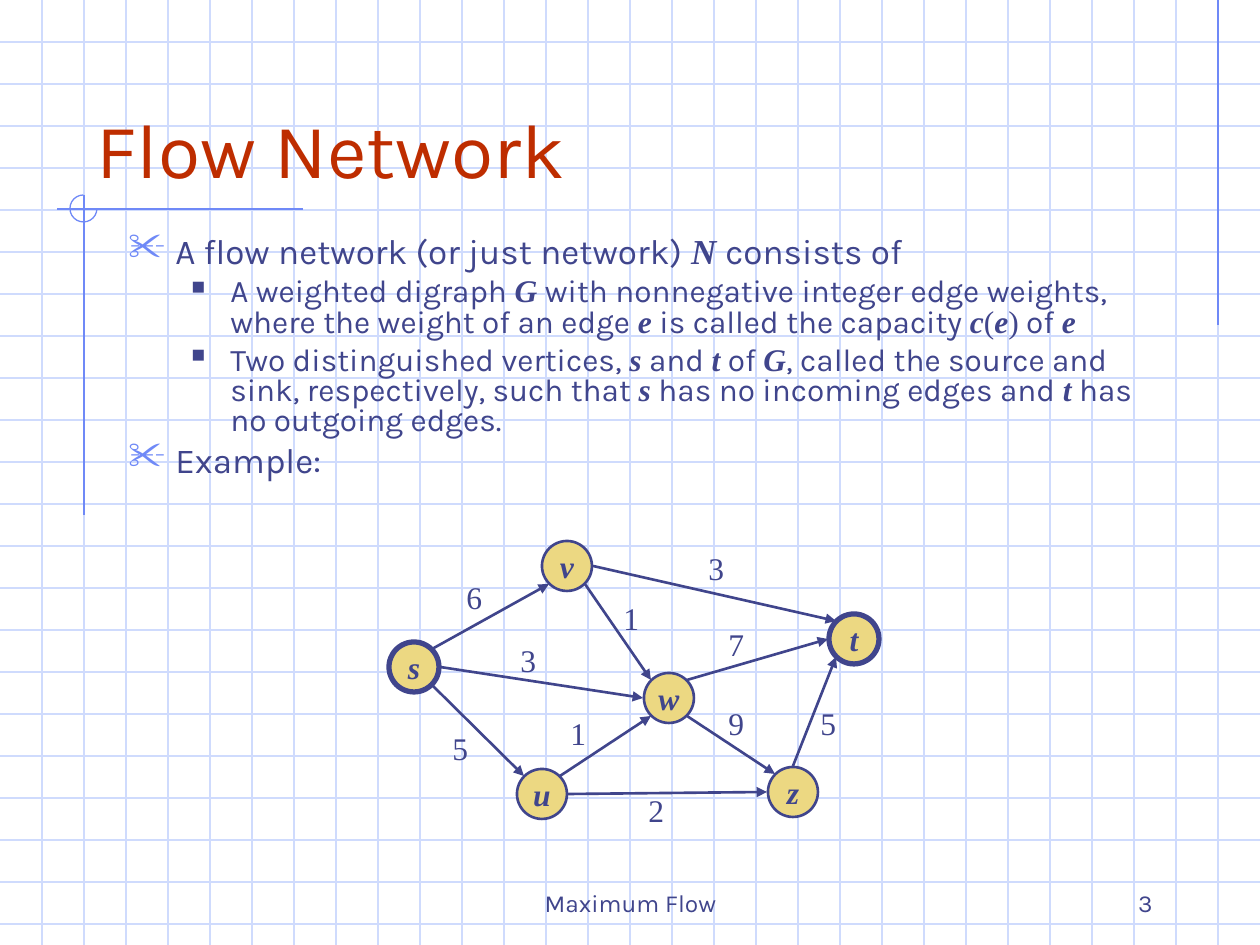
import pptx
import pptx.util
import pptx.dml.color
import pptx.enum.shapes
import pptx.enum.text
import pptx.oxml
import pptx.oxml.ns

RGB = pptx.dml.color.RGBColor
GRID = RGB(0xCF, 0xDB, 0xFD)
BLUE = RGB(0x6F, 0x89, 0xF7)
INK = RGB(0x40, 0x45, 0x8C)
RED = RGB(0xBE, 0x2D, 0x00)
GOLD = RGB(0xEC, 0xD8, 0x82)
SANS, SERIF = "Karla", "Times New Roman"
WIDE, HIGH, STEP = 1260, 945, 42
SHAPE = pptx.enum.shapes.MSO_SHAPE
ALIGN = pptx.enum.text.PP_ALIGN
ANCHOR = pptx.enum.text.MSO_ANCHOR

BODY = [
    (0, "A flow network (or just network) |N |consists of"),
    (1, "A weighted digraph |G| with nonnegative integer edge weights, where the "
        "weight of an edge |e| is called the capacity |c(e)| of |e"),
    (1, "Two distinguished vertices, |s| and |t| of |G|, called the source and sink, "
        "respectively, such that |s| has no incoming edges and |t| has no outgoing edges."),
    (0, "Example:"),
]
LEVELS = [
    dict(size=20, left=47, hang=47, before=5, mark="✂", tint=BLUE, scale=110),
    dict(size=18, left=102, hang=39, before=4.5, mark="■", tint=INK, scale=60),
]
NODES = {
    "w": (669, 698, 1.5), "s": (414, 667, 3), "v": (567, 566, 1.5),
    "u": (542, 794, 1.5), "t": (854, 639, 3), "z": (793, 792, 1.5),
}
EDGES = [
    ("s", (1, -1), "v", (-1, 1), "6", (454, 572)),
    ("s", (1, 1), "u", (-1, -1), "5", (440, 723)),
    ("v", (1, 1), "w", (-1, -1), "1", (611, 593)),
    ("v", (1, 0), "t", (-1, -1), "3", (696, 543)),
    ("w", (1, -1), "t", (-1, 0), "7", (716, 619)),
    ("w", (1, 1), "z", (-1, -1), "9", (716, 698)),
    ("z", (0, -1), "t", (-1, 1), "5", (808, 698)),
    ("u", (1, 0), "z", (-1, 0), "2", (636, 785)),
    ("u", (1, -1), "w", (-1, 1), "1", (558, 708)),
    ("s", (1, 0), "w", (-1, 0), "3", (508, 635)),
]


def emu(px):
    return pptx.util.Emu(round(px * 914400 / 126))


def add(parent, tag, **attrs):
    node = pptx.oxml.parse_xml(f"<{tag} {pptx.oxml.ns.nsdecls('a')}/>")
    for key, val in attrs.items():
        node.set(key, str(val))
    parent.append(node)
    return node


def rim(name, way):
    reach = 18 if all(way) else 26
    return [mid + reach * part for mid, part in zip(NODES[name], way)]


class Deck:
    """Holds the style and the current slide, with a method for each kind of element."""

    def __init__(self):
        self.prs = pptx.Presentation()
        self.prs.slide_width, self.prs.slide_height = emu(WIDE), emu(HIGH)
        self.slide = self.prs.slides.add_slide(self.prs.slide_layouts[5])
        self.shapes = self.slide.shapes

    def font(self, para, size, face=SANS, tint=INK, bold=False):
        font = para.font
        font.size, font.name = pptx.util.Pt(size), face
        font.bold = font.italic = bold
        font.color.rgb = tint

    def line(self, start, end, tint, width=0.75, arrow=False):
        line = self.shapes.add_connector(
            pptx.enum.shapes.MSO_CONNECTOR.STRAIGHT, *map(emu, (*start, *end)))
        line.line.color.rgb = tint
        line.line.width = pptx.util.Pt(width)
        if arrow:
            add(line.line._get_or_add_ln(), "a:tailEnd", type="triangle")
        add(line._element.spPr, "a:effectLst")

    def arc(self, box):
        arc = self.shapes.add_shape(SHAPE.ARC, *map(emu, box))
        arc.shadow.inherit = False
        arc.adjustments[0], arc.adjustments[1] = 0, 162
        arc.fill.background()
        arc.line.color.rgb = BLUE
        arc.line.width = pptx.util.Pt(0.75)

    def title(self, text, box):
        title = self.shapes.title
        title.left, title.top, title.width, title.height = map(emu, box)
        title._element.getparent().append(title._element)
        frame = title.text_frame
        frame.text = text
        frame.vertical_anchor = ANCHOR.BOTTOM
        frame.auto_size = pptx.enum.text.MSO_AUTO_SIZE.NONE
        para = frame.paragraphs[0]
        para.alignment = ALIGN.LEFT
        self.font(para, 44, tint=RED)

    def text(self, text, box, size, face=SANS, align=ALIGN.CENTER,
             anchor=ANCHOR.TOP, wrap=True):
        frame = self.shapes.add_textbox(*map(emu, box)).text_frame
        frame.word_wrap, frame.vertical_anchor = wrap, anchor
        para = frame.paragraphs[0]
        para.text, para.alignment = text, align
        self.font(para, size, face)

    def body(self, items, box):
        frame = self.shapes.add_textbox(*map(emu, box)).text_frame
        frame.word_wrap = True
        for num, (level, text) in enumerate(items):
            para = frame.add_paragraph() if num else frame.paragraphs[0]
            self.bullet(para, level)
            for pos, part in enumerate(text.split("|")):
                for piece in part if pos % 2 else [part]:
                    run = para.add_run()
                    run.text = piece
                    if pos % 2:
                        run.font.name = SERIF
                        run.font.bold = run.font.italic = piece not in "()"

    def bullet(self, para, level):
        look = LEVELS[level]
        para.level, para.line_spacing = level, 0.8
        para.space_before = pptx.util.Pt(look["before"])
        props = para._p.get_or_add_pPr()
        props.set("marL", str(emu(look["left"])))
        props.set("indent", str(-emu(look["hang"])))
        add(add(props, "a:buClr"), "a:srgbClr", val=look["tint"])
        add(props, "a:buSzPct", val=look["scale"] * 1000)
        add(props, "a:buChar", char=look["mark"])
        self.font(para, look["size"])

    def node(self, name, x, y, width):
        node = self.shapes.add_shape(SHAPE.OVAL, *map(emu, (x - 25, y - 25, 50, 50)))
        node.shadow.inherit = False
        node.fill.solid()
        node.fill.fore_color.rgb = GOLD
        node.line.color.rgb = INK
        node.line.width = pptx.util.Pt(width)
        frame = node.text_frame
        frame.word_wrap, frame.vertical_anchor = False, ANCHOR.MIDDLE
        para = frame.paragraphs[0]
        para.text, para.alignment = name, ALIGN.CENTER
        self.font(para, 18, SERIF, bold=True)


def main():
    deck = Deck()
    for y in range(STEP, HIGH, STEP):
        deck.line((0, y), (WIDE, y), GRID)
    for x in range(STEP, WIDE, STEP):
        deck.line((x, 0), (x, HIGH), GRID)
    deck.line((1218, 0), (1218, 325), BLUE)
    deck.line((303, 209), (57, 209), BLUE)
    deck.line((84, 195), (84, 515), BLUE)
    deck.arc((70, 195, 27, 27))
    deck.text("Maximum Flow", (431, 861, 399, 63), 14, anchor=ANCHOR.BOTTOM)
    deck.text("3", (903, 861, 262, 63), 14, align=ALIGN.RIGHT, anchor=ANCHOR.BOTTOM)
    deck.title("Flow Network", (84, 42, 1071, 158))
    deck.body(BODY, (116, 231, 1071, 273))
    for name, spot in NODES.items():
        deck.node(name, *spot)
    for start, out, end, into, cost, spot in EDGES:
        deck.text(cost, (*spot, 40, 50), 18, SERIF, wrap=False)
        deck.line(rim(start, out), rim(end, into), INK, 1.5, arrow=True)
    deck.prs.save("out.pptx")


if __name__ == "__main__":
    main()
